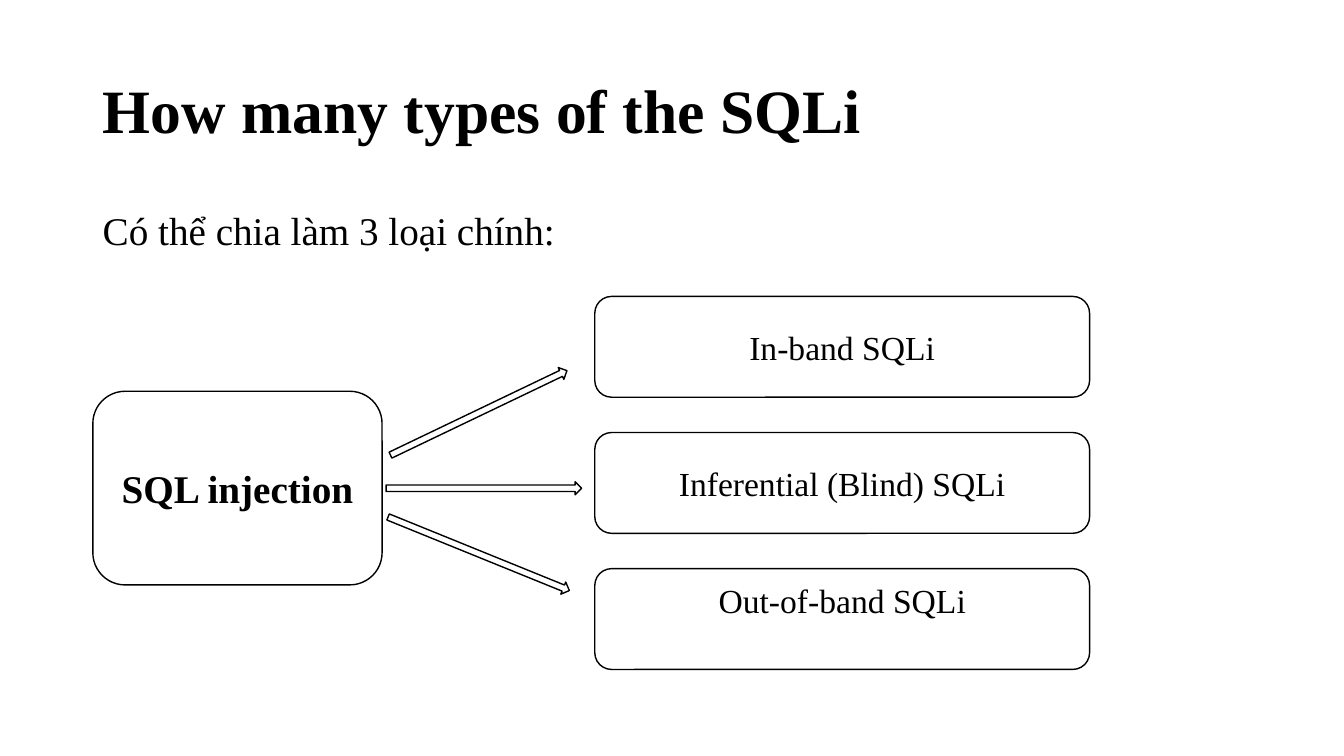
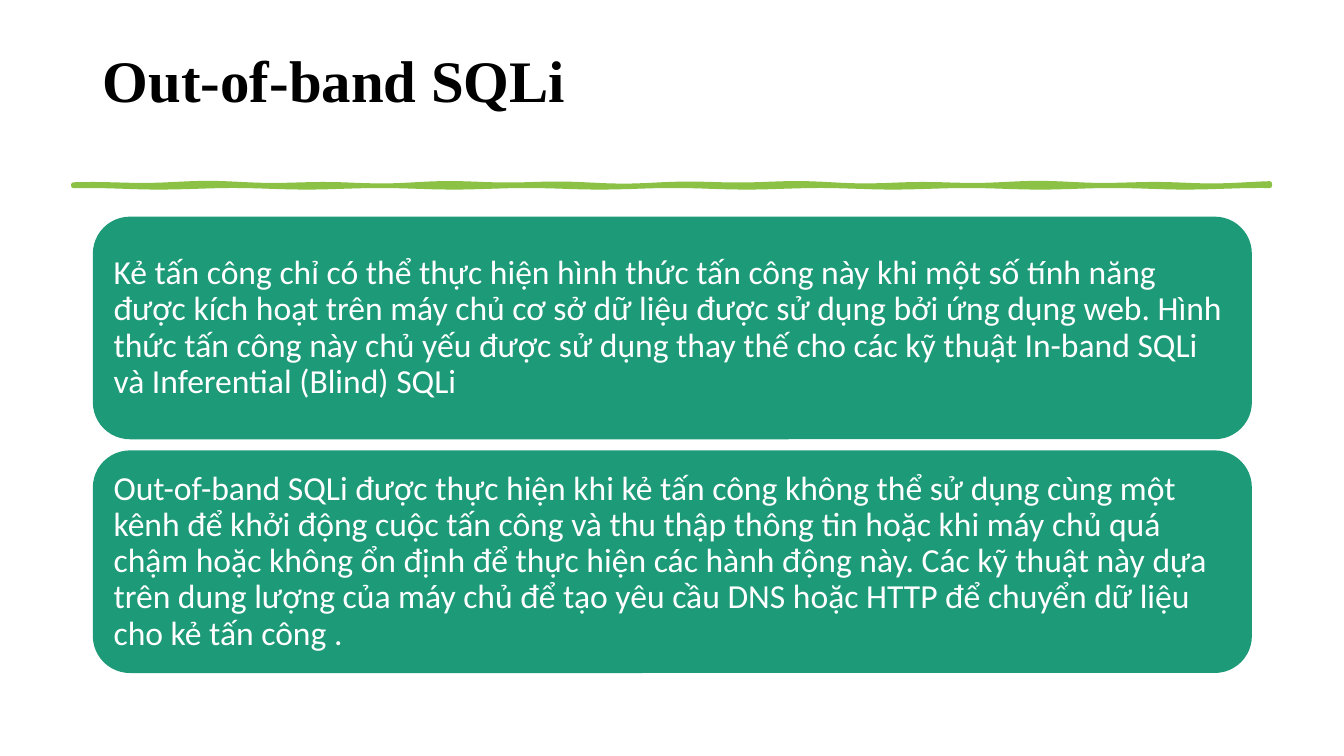
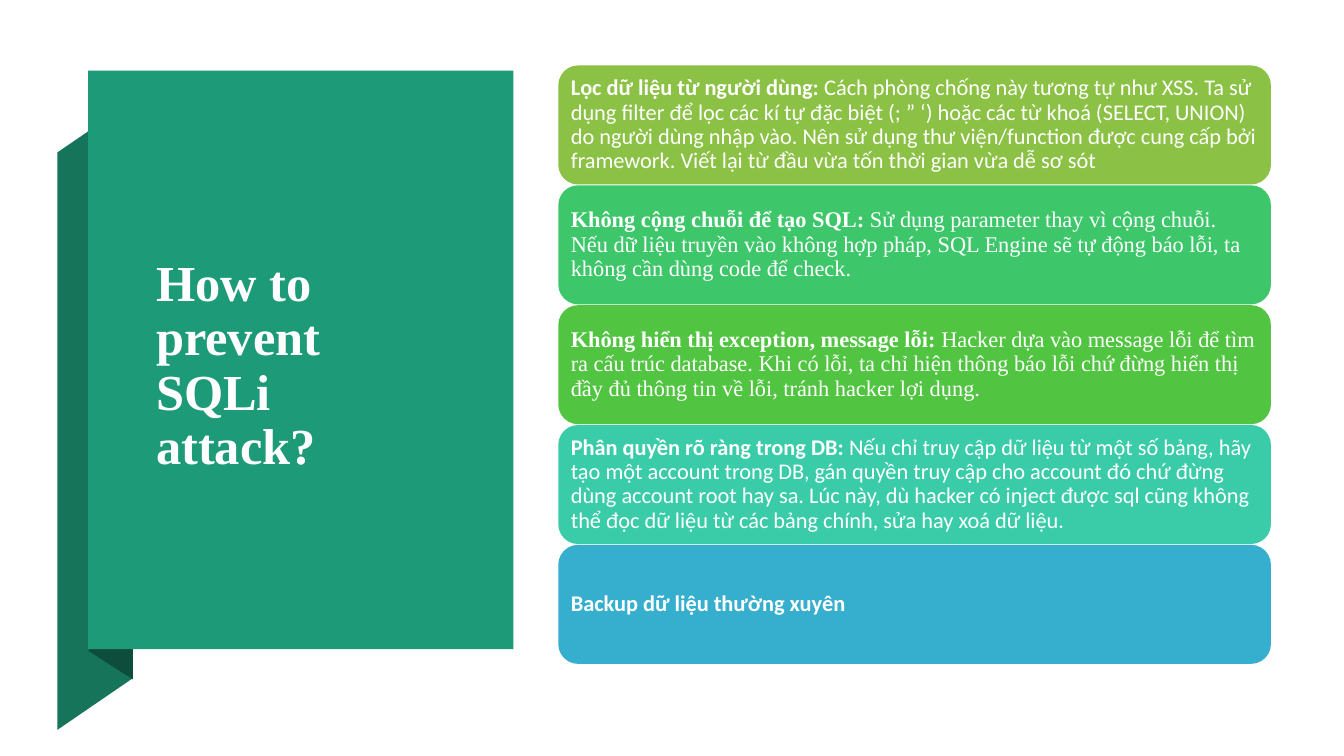
import math

import pptx
import pptx.dml.color
import pptx.enum.shapes
import pptx.enum.text
import pptx.util

Cm = pptx.util.Cm
Pt = pptx.util.Pt
RGBColor = pptx.dml.color.RGBColor
SHAPE = pptx.enum.shapes.MSO_SHAPE
ALIGN = pptx.enum.text.PP_ALIGN
ANCHOR = pptx.enum.text.MSO_ANCHOR

BLACK = RGBColor(0x00, 0x00, 0x00)
WHITE = RGBColor(0xFF, 0xFF, 0xFF)
TEAL = RGBColor(0x1D, 0x9A, 0x78)
TEAL_SHADE = RGBColor(0x16, 0x74, 0x5A)
TEAL_DEEP = RGBColor(0x0E, 0x4D, 0x3C)
LIME = RGBColor(0x8B, 0xC1, 0x45)
EMERALD = RGBColor(0x3E, 0xC7, 0x6A)
GREEN = RGBColor(0x51, 0xC4, 0x41)
TURQUOISE = RGBColor(0x3A, 0xCB, 0xA8)
SKY = RGBColor(0x36, 0xAF, 0xCE)

SERIF = "Times New Roman"
SANS = "Calibri"
TITLE_ONLY = 5
TITLE_AREA = (2.34, 1.02, 29.21, 3.68)
MARGIN = 2.34


class Deck:
    """Holds the shared style and the slide being built; lengths are in cm."""

    def __init__(self):
        self.show = pptx.Presentation()
        self.show.slide_width = Cm(33.87)
        self.show.slide_height = Cm(19.05)
        self.slide = None

    def new_slide(self):
        layout = self.show.slide_layouts[TITLE_ONLY]
        self.slide = self.show.slides.add_slide(layout)

    def set_text(self, shape, runs, size, color, font=SERIF, align=ALIGN.LEFT,
                 anchor=ANCHOR.MIDDLE, spacing=1.0, inset=None, bottom=None):
        """Fill a shape with one paragraph; runs are (words, bold) pairs."""
        frame = shape.text_frame
        frame.word_wrap = True
        frame.auto_size = pptx.enum.text.MSO_AUTO_SIZE.NONE
        frame.vertical_anchor = anchor
        if inset is not None:
            frame.margin_left = frame.margin_right = Cm(inset)
            frame.margin_top = frame.margin_bottom = Cm(inset)
        if bottom is not None:
            frame.margin_bottom = Cm(bottom)
        paragraph = frame.paragraphs[0]
        paragraph.alignment = align
        paragraph.line_spacing = spacing
        for words, bold in runs:
            run = paragraph.add_run()
            run.text = words
            run.font.name = font
            run.font.size = Pt(size)
            run.font.bold = bold
            run.font.color.rgb = color

    def title(self, words, size=44, color=BLACK, area=TITLE_AREA, bottom=None):
        """Place the title above everything drawn so far."""
        title = self.slide.shapes.title
        title.left, title.top, title.width, title.height = map(Cm, area)
        self.slide.shapes.element.append(title.element)
        self.set_text(title, [(words, True)], size, color, spacing=0.9,
                      bottom=bottom)

    def paint(self, shape, fill, line=None, width=1):
        shape.shadow.inherit = False
        shape.fill.solid()
        shape.fill.fore_color.rgb = fill
        if line is None:
            shape.line.fill.background()
        else:
            shape.line.color.rgb = line
            shape.line.width = Pt(width)

    def block(self, kind, area, fill, line=None, rotation=0):
        block = self.slide.shapes.add_shape(kind, *map(Cm, area))
        block.rotation = rotation
        self.paint(block, fill, line)
        return block

    def outlined_box(self, area, words, size, bold=False, bottom=None):
        box = self.block(SHAPE.ROUNDED_RECTANGLE, area, WHITE, BLACK)
        self.set_text(box, [(words, bold)], size, BLACK, align=ALIGN.CENTER,
                      bottom=bottom)

    def card(self, area, fill, runs, size, inset, font=SANS):
        card = self.block(SHAPE.ROUNDED_RECTANGLE, area, fill)
        self.set_text(card, runs, size, WHITE, font, spacing=0.9, inset=inset)

    def text(self, area, words, size):
        box = self.slide.shapes.add_textbox(*map(Cm, area))
        self.set_text(box, [(words, False)], size, BLACK, anchor=ANCHOR.TOP)

    def outline(self, points, fill, line=None, width=1):
        corners = [(Cm(x), Cm(y)) for x, y in points]
        builder = self.slide.shapes.build_freeform(*corners[0])
        builder.add_line_segments(corners[1:], close=True)
        self.paint(builder.convert_to_shape(), fill, line, width)

    def brush_rule(self, left, top, length, steps=120):
        """Draw a hand-made looking rule with slightly wavy edges."""
        upper, lower = [], []
        for step in range(steps + 1):
            x = left + length * step / steps
            ripple = 0.02 * math.sin(2.1 * x) + 0.015 * math.sin(0.9 * x)
            upper.append((x, top + ripple))
            lower.append((x, top + 0.05 + 0.02 * math.sin(1.7 * x + 1)))
        self.outline(upper + lower[::-1], LIME, LIME, 3.25)


def types_slide(deck):
    deck.new_slide()
    deck.title("How many types of the SQLi")
    deck.outlined_box((MARGIN, 9.86, 7.29, 4.88), "SQL injection", 28, True)
    arrows = [(9.6, 10.24, 334.4), (9.73, 12.14, 0), (9.6, 13.79, 22.1)]
    for left, top, rotation in arrows:
        deck.block(SHAPE.RIGHT_ARROW, (left, top, 4.93, 0.33), WHITE, BLACK,
                   rotation)
    kinds = [("In-band SQLi", None), ("Inferential (Blind) SQLi", None),
             ("Out-of-band SQLi", 1.1)]
    for row, (kind, bottom) in enumerate(kinds):
        area = (14.99, 7.47 + 3.43 * row, 12.47, 2.54)
        deck.outlined_box(area, kind, 24, bottom=bottom)
    deck.text((MARGIN, 5.08, 23.57, 1.45), "Có thể chia làm 3 loại chính:", 28)


def out_of_band_slide(deck):
    deck.new_slide()
    deck.title("Out-of-band SQLi", 42, bottom=1.65)
    deck.brush_rule(1.85, 4.65, 30.15)
    facts = [
        "Kẻ tấn công chỉ có thể thực hiện hình thức tấn công này khi một số "
        "tính năng được kích hoạt trên máy chủ cơ sở dữ liệu được sử dụng bởi "
        "ứng dụng web. Hình thức tấn công này chủ yếu được sử dụng thay thế "
        "cho các kỹ thuật In-band SQLi và Inferential (Blind) SQLi",
        "Out-of-band SQLi được thực hiện khi kẻ tấn công không thể sử dụng "
        "cùng một kênh để khởi động cuộc tấn công và thu thập thông tin hoặc "
        "khi máy chủ quá chậm hoặc không ổn định để thực hiện các hành động "
        "này. Các kỹ thuật này dựa trên dung lượng của máy chủ để tạo yêu cầu "
        "DNS hoặc HTTP để chuyển dữ liệu cho kẻ tấn công .",
    ]
    for row, fact in enumerate(facts):
        deck.card((MARGIN, 5.46 + 5.89 * row, 29.21, 5.61), TEAL,
                  [(fact, False)], 24, 0.25)


def prevention_slide(deck):
    deck.new_slide()
    deck.outline([(1.45, 18.39), (3.35, 17.09), (3.35, 2.54), (1.45, 3.84)],
                 TEAL_SHADE)
    deck.outline([(2.24, 16.41), (3.35, 17.12), (3.35, 2.51), (2.24, 1.78)],
                 TEAL_DEEP)
    deck.block(SHAPE.RECTANGLE, (2.22, 1.78, 10.72, 14.58), TEAL)
    deck.title("How to prevent SQLi attack?", 36, WHITE,
               (3.68, 4.24, 7.6, 10.01))
    measures = [
        (LIME, SANS, "Lọc dữ liệu từ người dùng:",
         " Cách phòng chống này tương tự như XSS. Ta sử dụng filter để lọc các "
         "kí tự đặc biệt (; ” ‘) hoặc các từ khoá (SELECT, UNION) do người "
         "dùng nhập vào. Nên sử dụng thư viện/function được cung cấp bởi "
         "framework. Viết lại từ đầu vừa tốn thời gian vừa dễ sơ sót"),
        (EMERALD, SERIF, "Không cộng chuỗi để tạo SQL:",
         " Sử dụng parameter thay vì cộng chuỗi. Nếu dữ liệu truyền vào không "
         "hợp pháp, SQL Engine sẽ tự động báo lỗi, ta không cần dùng code để "
         "check."),
        (GREEN, SERIF, "Không hiển thị exception, message lỗi:",
         " Hacker dựa vào message lỗi để tìm ra cấu trúc database. Khi có lỗi, "
         "ta chỉ hiện thông báo lỗi chứ đừng hiển thị đầy đủ thông tin về "
         "lỗi, tránh hacker lợi dụng."),
        (TURQUOISE, SANS, "Phân quyền rõ ràng trong DB:",
         " Nếu chỉ truy cập dữ liệu từ một số bảng, hãy tạo một account trong "
         "DB, gán quyền truy cập cho account đó chứ đừng dùng account root "
         "hay sa. Lúc này, dù hacker có inject được sql cũng không thể đọc dữ "
         "liệu từ các bảng chính, sửa hay xoá dữ liệu."),
        (SKY, SANS, "Backup dữ liệu thường xuyên", ""),
    ]
    for row, (fill, font, measure, detail) in enumerate(measures):
        runs = [(measure, True)]
        if detail:
            runs.append((detail, False))
        deck.card((14.07, 1.65 + 3.02 * row, 17.96, 3), fill, runs, 16, 0.17,
                  font)


def main():
    deck = Deck()
    types_slide(deck)
    out_of_band_slide(deck)
    prevention_slide(deck)
    deck.show.save("out.pptx")


if __name__ == "__main__":
    main()
